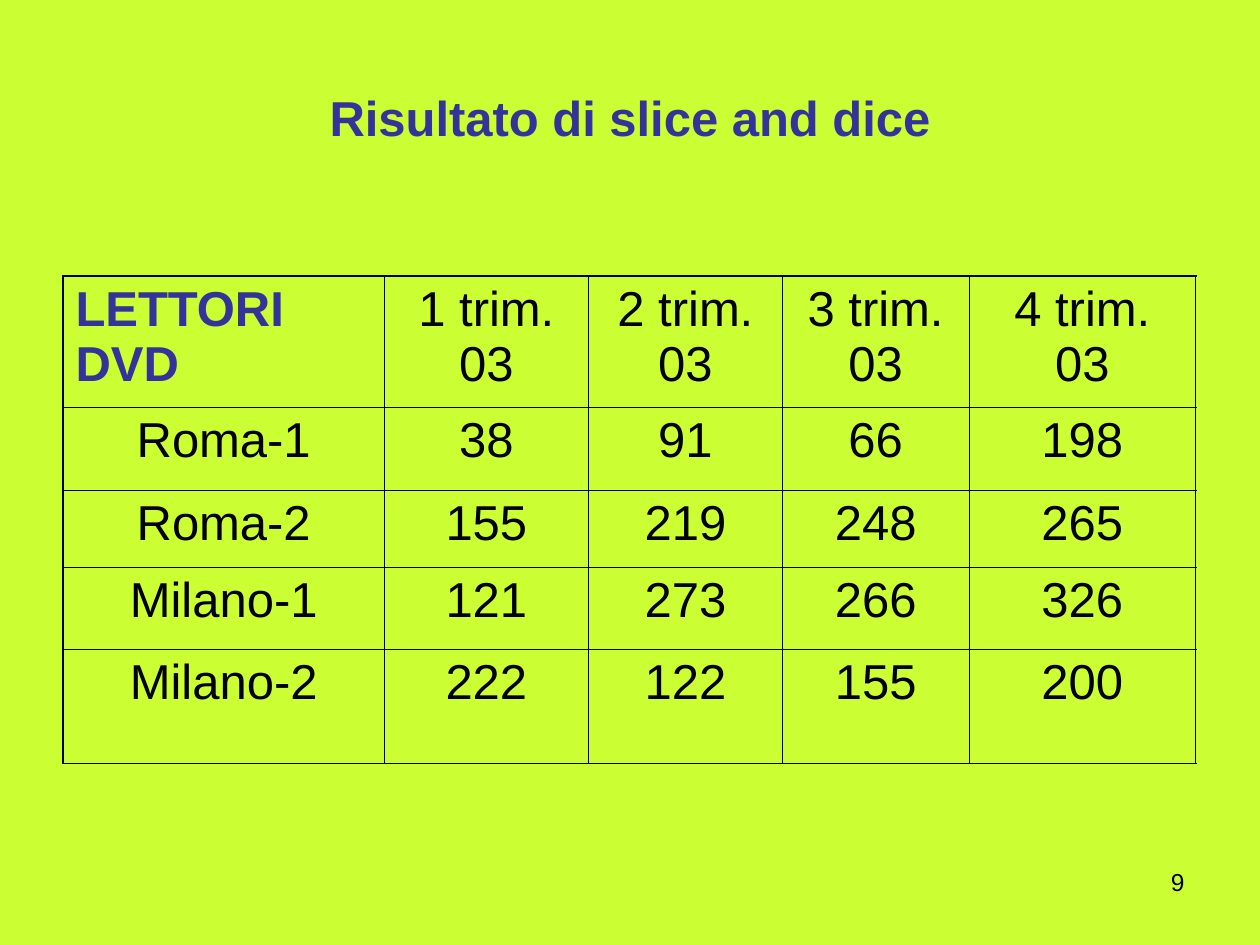
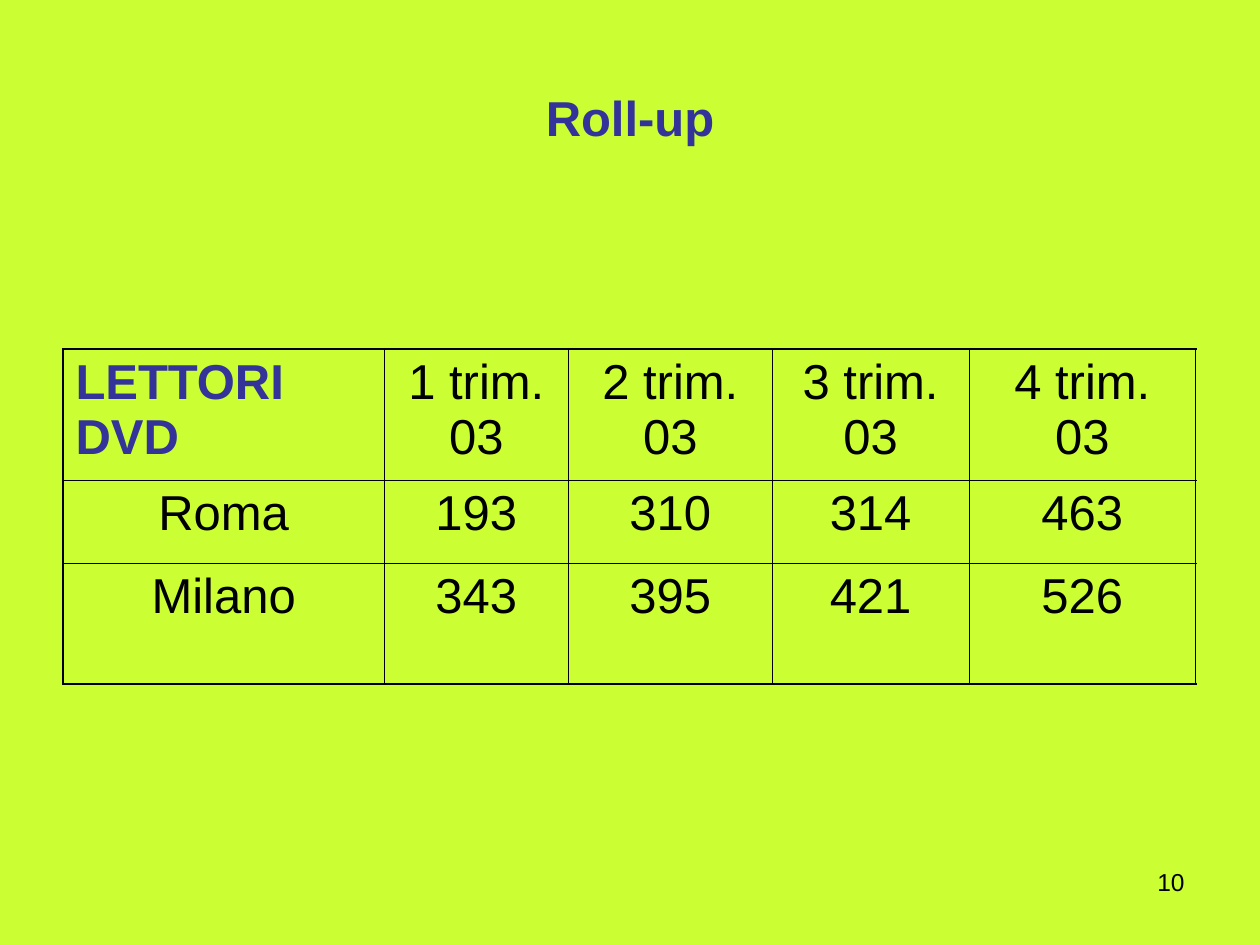
from lxml.etree import SubElement
from pptx import Presentation
from pptx.dml.color import RGBColor
from pptx.enum.text import MSO_ANCHOR, PP_ALIGN
from pptx.oxml.ns import qn
from pptx.util import Inches, Pt

COLORS = {"background": "CCFF33", "heading": "333399", "text": "000000"}
FONT = "Arial"
OUTER_BORDER, INNER_BORDER = Pt(1.08), Pt(0.45)
HEADER = ["LETTORI DVD", "1 trim. 03", "2 trim. 03", "3 trim. 03", "4 trim. 03"]

SLIDES = [
    {
        "number": 9,
        "title": "Risultato di slice and dice",
        "top": 2.19,
        "columns": [2.55, 1.62, 1.54, 1.48, 1.8],
        "heights": [1.04, 0.66, 0.61, 0.65, 0.91],
        "rows": [
            ["Roma-1", 38, 91, 66, 198],
            ["Roma-2", 155, 219, 248, 265],
            ["Milano-1", 121, 273, 266, 326],
            ["Milano-2", 222, 122, 155, 200],
        ],
    },
    {
        "number": 10,
        "title": "Roll-up",
        "top": 2.77,
        "columns": [2.55, 1.46, 1.62, 1.56, 1.8],
        "heights": [1.04, 0.66, 0.96],
        "rows": [
            ["Roma", 193, 310, 314, 463],
            ["Milano", 343, 395, 421, 526],
        ],
    },
]


def format_paragraph(paragraph, size, color, bold, alignment):
    paragraph.alignment = alignment
    font = paragraph.font
    font.name, font.size, font.bold = FONT, Pt(size), bold
    font.color.rgb = RGBColor.from_string(COLORS[color])


def add_borders(cell, widths):
    """Draw the cell's borders; widths maps L, R, T and B to line widths."""
    properties = cell._tc.get_or_add_tcPr()
    for side, width in widths.items():
        line = SubElement(properties, qn(f"a:ln{side}"), w=str(width))
        fill = SubElement(line, qn("a:solidFill"))
        SubElement(fill, qn("a:srgbClr"), val=COLORS["text"])


presentation = Presentation()
presentation.slide_width, presentation.slide_height = Inches(10), Inches(7.5)
background = presentation.slide_master.background.fill
background.solid()
background.fore_color.rgb = RGBColor.from_string(COLORS["background"])
title_only = presentation.slide_layouts.get_by_name("Title Only")

for content in SLIDES:
    slide = presentation.slides.add_slide(title_only)

    title = slide.shapes.title
    title.left, title.top = Inches(0.5), Inches(0.3)
    title.width, title.height = Inches(9), Inches(1.25)
    title.text_frame.text = content["title"]
    title.text_frame.vertical_anchor = MSO_ANCHOR.MIDDLE
    format_paragraph(title.text_frame.paragraphs[0], 28, "heading", True, PP_ALIGN.CENTER)

    rows = [HEADER] + content["rows"]
    last_row, last_column = len(rows) - 1, len(HEADER) - 1
    table = slide.shapes.add_table(
        len(rows), len(HEADER), Inches(0.5), Inches(content["top"]),
        Inches(sum(content["columns"])), Inches(sum(content["heights"])),
    ).table
    table.horz_banding = False
    for column, width in zip(table.columns, content["columns"]):
        column.width = Inches(width)
    for row, height in zip(table.rows, content["heights"]):
        row.height = Inches(height)

    for row_index, values in enumerate(rows):
        for column_index, value in enumerate(values):
            cell = table.cell(row_index, column_index)
            cell.text = str(value)
            paragraph = cell.text_frame.paragraphs[0]
            if row_index == column_index == 0:
                format_paragraph(paragraph, 28, "heading", True, PP_ALIGN.LEFT)
            else:
                format_paragraph(paragraph, 28, "text", False, PP_ALIGN.CENTER)
            on_edge = {
                "L": column_index == 0,
                "R": column_index == last_column,
                "T": row_index == 0,
                "B": row_index == last_row,
            }
            add_borders(cell, {side: OUTER_BORDER if edge else INNER_BORDER
                               for side, edge in on_edge.items()})
            cell.fill.background()

    page_number = slide.shapes.add_textbox(
        Inches(7.17), Inches(6.83), Inches(2.33), Inches(0.52)).text_frame
    page_number.word_wrap = True
    page_number.text = str(content["number"])
    format_paragraph(page_number.paragraphs[0], 14, "text", False, PP_ALIGN.RIGHT)

presentation.save("out.pptx")
